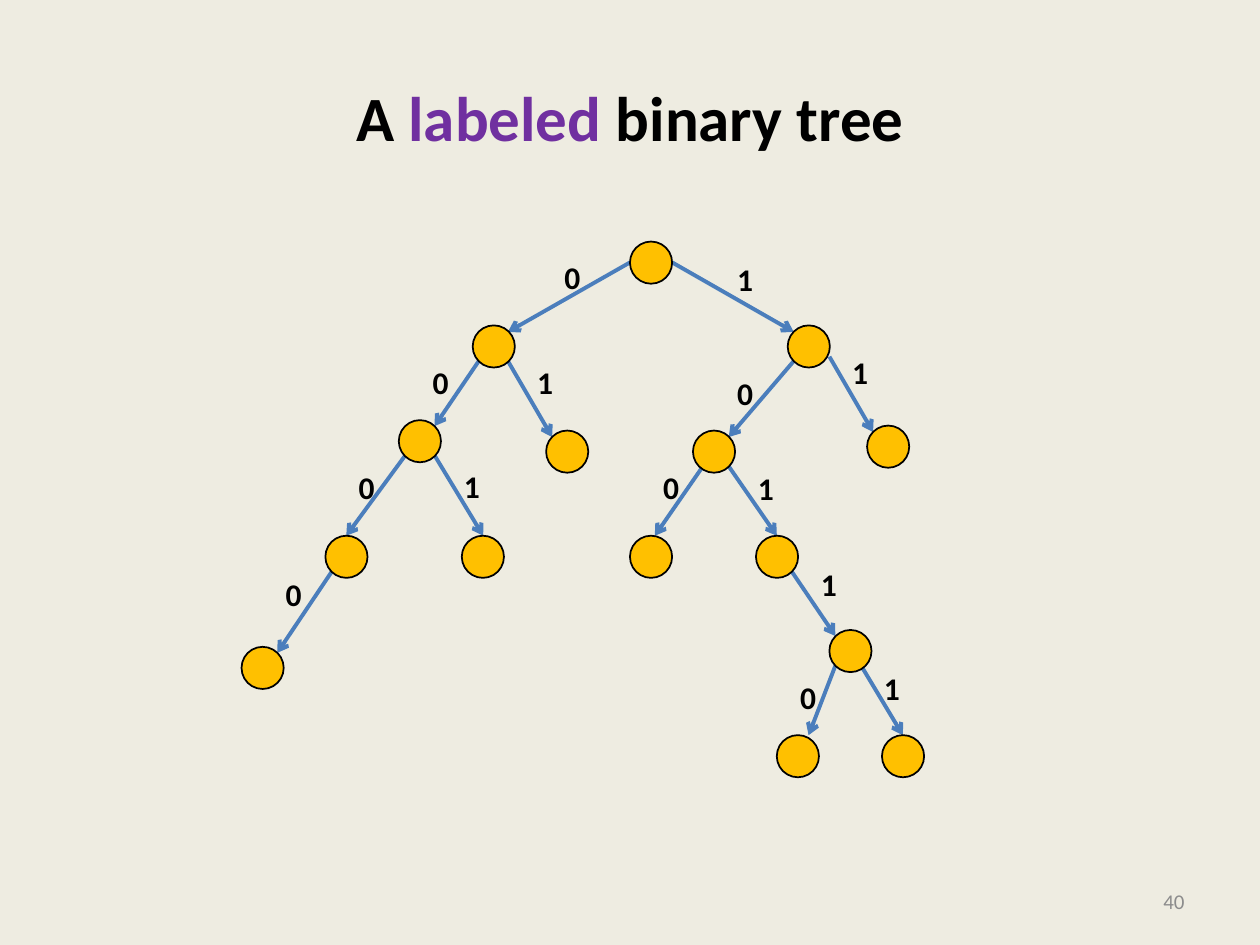
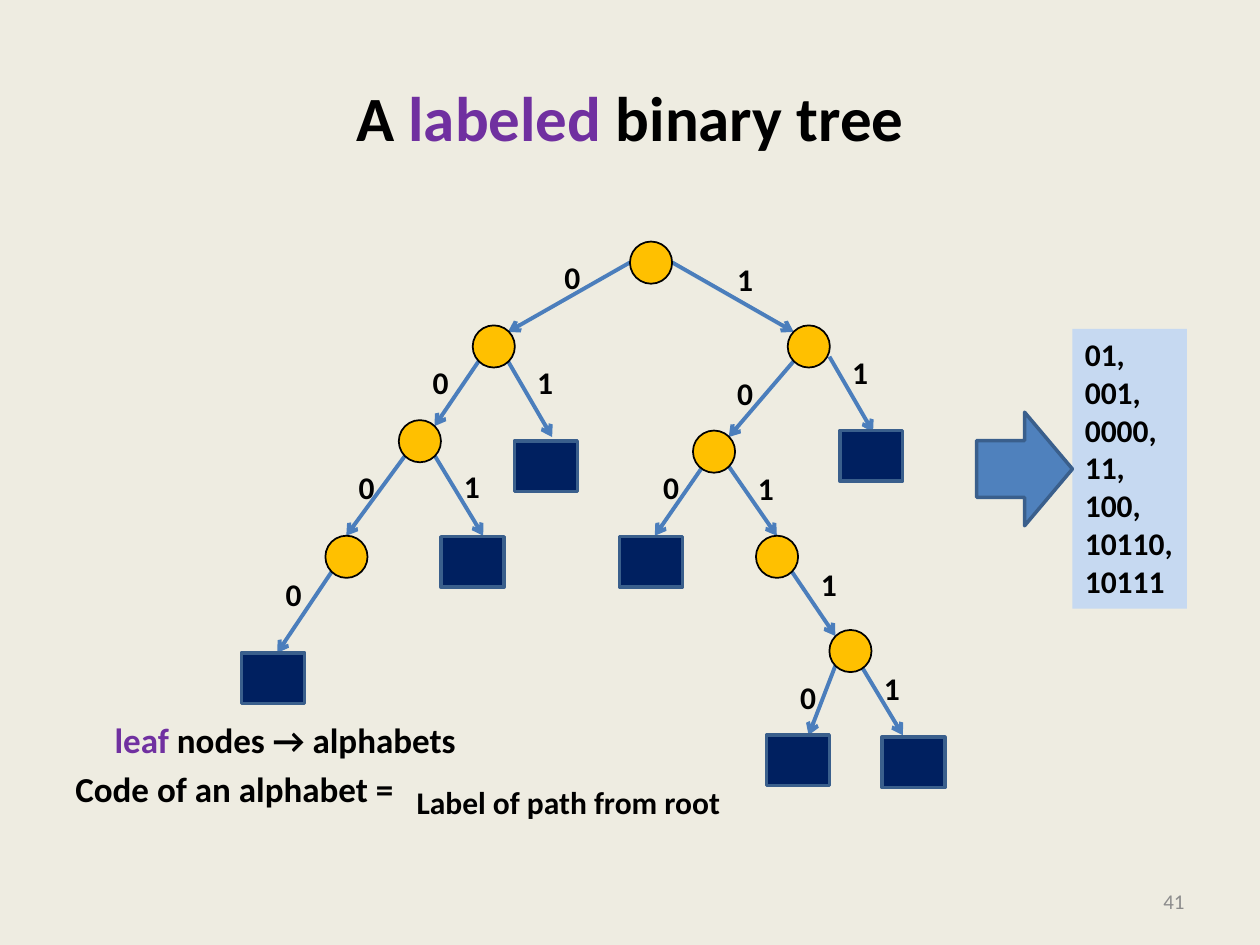
from collections import namedtuple

from lxml import etree
from pptx import Presentation
from pptx.dml.color import RGBColor
from pptx.enum.shapes import MSO_CONNECTOR, MSO_SHAPE
from pptx.enum.text import MSO_ANCHOR, PP_ALIGN
from pptx.oxml.ns import qn
from pptx.util import Cm, Pt

LINE = MSO_CONNECTOR.STRAIGHT
ELLIPSE, RECTANGLE, RIGHT_ARROW = MSO_SHAPE.OVAL, MSO_SHAPE.RECTANGLE, MSO_SHAPE.RIGHT_ARROW
TOP, MIDDLE = MSO_ANCHOR.TOP, MSO_ANCHOR.MIDDLE
LEFT, CENTER, RIGHT = PP_ALIGN.LEFT, PP_ALIGN.CENTER, PP_ALIGN.RIGHT

FONT = "Calibri"
COLORS = {
    "background": "EEECE1", "text": "000000", "accent": "7030A0", "number": "8C8C8C",
    "node": "FFC000", "edge": "4B7EBC", "leaf": "002060", "border": "3A5F8C",
    "arrow": "4F81BD", "codes": "C6D9F1",
}

# Sizes in centimetres
NODE_SIZE = 0.85
LEAF_SIZE = (1.27, 1.02)
LABEL_SIZE = (0.85, 1.02)

# Each branch is keyed by its code, the labels on the path from the root.
# Places are (left, top) in centimetres; box is given for leaves only.
Branch = namedtuple("Branch", "node start end label box", defaults=[None])
ROOT = (12.7, 4.87)
BRANCHES = {
    "0": Branch((9.53, 6.56), (12.7, 5.29), (10.24, 6.69), (11.13, 5.08)),
    "1": Branch((15.88, 6.56), (13.55, 5.29), (16, 6.69), (14.61, 5.11)),
    "00": Branch((8.04, 8.47), (9.65, 7.28), (8.76, 8.59), (8.47, 7.2)),
    "01": Branch((11.01, 8.68), (10.24, 7.28), (11.13, 8.81), (10.58, 7.2), (10.37, 8.89)),
    "10": Branch((13.97, 8.68), (16, 7.28), (14.69, 8.81), (14.61, 7.41)),
    "11": Branch((17.48, 8.58), (16.72, 7.19), (17.6, 8.71), (16.93, 7), (16.93, 8.68)),
    "000": Branch((6.56, 10.8), (8.17, 9.18), (6.98, 10.8), (6.98, 9.31)),
    "001": Branch((9.31, 10.8), (8.76, 9.18), (9.74, 10.8), (9.1, 9.3), (8.89, 10.82)),
    "100": Branch((12.7, 10.8), (14.17, 9.4), (13.2, 10.8), (13.12, 9.31), (12.49, 10.82)),
    "101": Branch((15.24, 10.8), (14.69, 9.4), (15.66, 10.8), (15.03, 9.34)),
    "0000": Branch((4.87, 13.04), (6.69, 11.52), (5.59, 13.16), (5.51, 11.46), (4.87, 13.16)),
    "1011": Branch((16.72, 12.7), (15.96, 11.52), (16.84, 12.82), (16.3, 11.26)),
    "10110": Branch((15.66, 14.82), (16.84, 13.42), (16.3, 14.82), (15.88, 13.55),
                    (15.45, 14.82)),
    "10111": Branch((17.78, 14.82), (17.36, 13.42), (18.2, 14.82), (17.57, 13.37),
                    (17.78, 14.86)),
}
CODES = ["01", "001", "0000", "11", "100", "10110", "10111"]


def color(name):
    return RGBColor.from_string(COLORS[name])


def write(shape, lines, size, align=LEFT, anchor=TOP, wrap=True, bold=True):
    """Fill a shape with lines, each a list of (text, colour name) runs."""
    frame = shape.text_frame
    frame.word_wrap = wrap
    frame.vertical_anchor = anchor
    for index, line in enumerate(lines):
        paragraph = frame.add_paragraph() if index else frame.paragraphs[0]
        paragraph.alignment = align
        for text, color_name in line:
            run = paragraph.add_run()
            run.text = text
            run.font.name = FONT
            run.font.size = Pt(size)
            run.font.bold = bold
            run.font.color.rgb = color(color_name)


def add_text(shapes, place, size, lines, points, **options):
    box = shapes.add_textbox(*map(Cm, place + size))
    write(box, lines, points, **options)
    return box


def add_figure(shapes, kind, place, size, fill, border=None, width=2):
    shape = shapes.add_shape(kind, *map(Cm, place + size))
    shape.shadow.inherit = False
    shape.fill.solid()
    shape.fill.fore_color.rgb = color(fill)
    if border:
        shape.line.color.rgb = color(border)
        shape.line.width = Pt(width)
    else:
        shape.line.fill.background()
    return shape


def add_node(shapes, place):
    add_figure(shapes, ELLIPSE, place, (NODE_SIZE, NODE_SIZE), "node", "text", 1)


def add_edge(shapes, start, end):
    connector = shapes.add_connector(LINE, *map(Cm, start + end))
    connector.line.color.rgb = color("edge")
    connector.line.width = Pt(2.25)
    properties = connector.element.spPr
    etree.SubElement(properties.find(qn("a:ln")), qn("a:tailEnd"), type="arrow")
    etree.SubElement(properties, qn("a:effectLst"))


def add_tree(slide, boxed_leaves):
    tree = slide.shapes.add_group_shape().shapes
    for branch in BRANCHES.values():
        add_edge(tree, branch.start, branch.end)
    add_node(tree, ROOT)
    for branch in BRANCHES.values():
        if boxed_leaves and branch.box:
            add_figure(tree, RECTANGLE, branch.box, LEAF_SIZE, "leaf", "border")
        else:
            add_node(tree, branch.node)

    labels = slide.shapes.add_group_shape().shapes
    for code, branch in BRANCHES.items():
        add_text(labels, branch.label, LABEL_SIZE, [[(code[-1], "text")]], 18, wrap=False)


def add_tree_slide(presentation, number, boxed_leaves=False):
    """Add a slide with the shared title, page number and tree."""
    slide = presentation.slides.add_slide(presentation.slide_layouts[6])
    title = [("A ", "text"), ("labeled", "accent"), (" binary tree", "text")]
    add_text(slide.shapes, (1.27, 0.76), (22.86, 3.18), [title], 36,
             align=CENTER, anchor=MIDDLE)
    add_text(slide.shapes, (18.2, 17.65), (5.93, 1.02), [[(str(number), "number")]], 12,
             align=RIGHT, anchor=MIDDLE, bold=False)
    add_tree(slide, boxed_leaves)
    return slide


def add_explanation(slide):
    lines = [[("leaf", "accent"), (" nodes → alphabets", "text")],
             [("Code of an alphabet = ", "text")]]
    box = add_text(slide.shapes, (1.27, 14.35), (22.86, 2.67), lines, 20)
    first, second = box.text_frame.paragraphs
    first._p.get_or_add_pPr().set("marL", str(Cm(0.79)))
    second.space_before = Pt(4)

    answer = add_figure(slide.shapes, RECTANGLE, (8.15, 15.67), (6.83, 1.02), "background")
    write(answer, [[("Label of path from root", "text")]], 18, wrap=False)


def add_code_list(slide):
    group = slide.shapes.add_group_shape().shapes
    panel = add_figure(group, RECTANGLE, (21.62, 6.63), (2.31, 5.64), "codes")
    lines = [[(code + ",", "text")] for code in CODES[:-1]] + [[(CODES[-1], "text")]]
    write(panel, lines, 18, wrap=False)
    add_figure(group, RIGHT_ARROW, (19.69, 8.31), (1.93, 2.29), "arrow", "border")


def main():
    presentation = Presentation()
    presentation.slide_width, presentation.slide_height = Cm(25.4), Cm(19.05)
    background = presentation.slide_master.background.fill
    background.solid()
    background.fore_color.rgb = color("background")

    # Plain tree
    add_tree_slide(presentation, 40)

    # Tree with leaves as alphabets and their codes
    slide = add_tree_slide(presentation, 41, boxed_leaves=True)
    add_explanation(slide)
    add_code_list(slide)

    presentation.save("out.pptx")


main()
